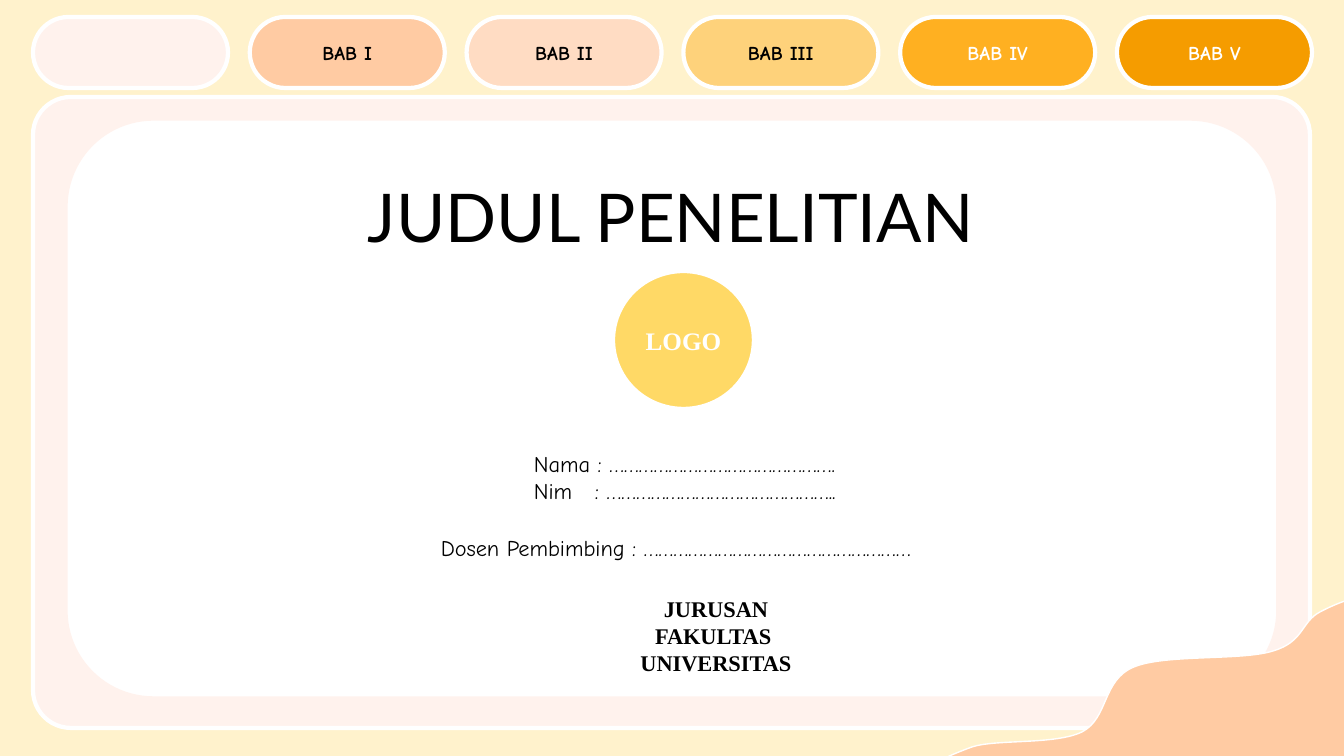
import dataclasses

import lxml.etree
import pptx
import pptx.dml.color
import pptx.enum.shapes
import pptx.enum.text
import pptx.oxml.ns
import pptx.util

EMU_PER_PX = 914400 / 100.8
SHAPES = pptx.enum.shapes.MSO_SHAPE
ALIGN = pptx.enum.text.PP_ALIGN
ANCHOR = pptx.enum.text.MSO_ANCHOR


@dataclasses.dataclass(frozen=True)
class Theme:
    background: str = "FFF2CC"
    panel: str = "FFF2ED"
    peach: str = "FFCBA3"
    pale_peach: str = "FFDCC3"
    sand: str = "FED27B"
    amber: str = "FFB021"
    orange: str = "F59C00"
    logo: str = "FFD966"
    white: str = "FFFFFF"
    black: str = "000000"
    title_font: str = "Lato"
    hand_font: str = "Comic Neue"
    formal_font: str = "Times New Roman"
    title_size: int = 48
    logo_size: int = 18
    body_size: int = 16
    tab_size: int = 14


THEME = Theme()
TABS = [
    ("", THEME.panel, THEME.black),
    ("BAB I", THEME.peach, THEME.black),
    ("BAB II", THEME.pale_peach, THEME.black),
    ("BAB III", THEME.sand, THEME.black),
    ("BAB IV", THEME.amber, THEME.white),
    ("BAB V", THEME.orange, THEME.white),
]
# Start point, then the Bezier segments, in px from the wave's top left corner.
WAVE_START = (546, 10)
WAVE_CURVES = [
    ((517, 5), (486, -1), (461, 1)),
    ((436, 2), (414, 10), (395, 20)),
    ((376, 30), (379, 50), (348, 59)),
    ((317, 69), (240, 62), (209, 75)),
    ((177, 88), (184, 126), (157, 140)),
    ((130, 153), (71, 147), (47, 155)),
    ((22, 164), (-20, 182), (10, 190)),
    ((41, 198), (135, 200), (228, 201)),
    ((319, 202), (513, 226), (565, 195)),
    ((616, 163), (537, 11), (537, 11)),
]


def px(length):
    return pptx.util.Emu(round(length * EMU_PER_PX))


def rgb(colour):
    return pptx.dml.color.RGBColor.from_string(colour)


def set_values(target, values):
    for name, value in values.items():
        setattr(target, name, value)


def move(shape, box):
    names = ("left", "top", "width", "height")
    set_values(shape, dict(zip(names, map(px, box))))


def paint(shape, fill, line, width):
    shape.shadow.inherit = False
    shape.fill.solid()
    shape.fill.fore_color.rgb = rgb(fill)
    shape.line.color.rgb = rgb(line)
    shape.line.width = pptx.util.Pt(width)


def add_painted(slide, kind, box, fill, line, width, rounding=None):
    shape = slide.shapes.add_shape(kind, *map(px, box))
    paint(shape, fill, line, width)
    if rounding is not None:
        shape.adjustments[0] = rounding
    return shape


def write(shape, lines, font, size, colour, bold=False,
          align=ALIGN.CENTER, anchor=ANCHOR.MIDDLE):
    frame = shape.text_frame
    frame.text = "\n".join(lines)
    set_values(frame, {
        "word_wrap": True,
        "auto_size": pptx.enum.text.MSO_AUTO_SIZE.NONE,
        "vertical_anchor": anchor,
    })
    font_format = {"name": font, "size": pptx.util.Pt(size), "bold": bold}
    for paragraph in frame.paragraphs:
        paragraph.alignment = align
        for run in paragraph.runs:
            set_values(run.font, font_format)
            run.font.color.rgb = rgb(colour)


def add_text(slide, box, lines, font, bold=False, align=ALIGN.LEFT):
    shape = slide.shapes.add_textbox(*map(px, box))
    write(shape, lines, font, THEME.body_size, THEME.black, bold,
          align, ANCHOR.TOP)
    return shape


def set_tab_stop(paragraph, position):
    properties = paragraph._p.get_or_add_pPr()
    stops = lxml.etree.SubElement(properties, pptx.oxml.ns.qn("a:tabLst"))
    lxml.etree.SubElement(stops, pptx.oxml.ns.qn("a:tab"),
                          pos=str(px(position)), algn="l")


def add_panels(slide, box):
    """Draw the outer panel and the white card inside it."""
    left, top, width, height = box
    add_painted(slide, SHAPES.ROUNDED_RECTANGLE, box,
                THEME.panel, THEME.white, 3, 0.06)
    card = (left + 34, top + 23, width - 67, height - 54)
    add_painted(slide, SHAPES.ROUNDED_RECTANGLE, card,
                THEME.white, THEME.panel, 1, 0.15)


def add_chapter_tabs(slide, box):
    left, top, width, height = box
    tab_width = 195
    step = (width - tab_width) / (len(TABS) - 1)
    for index, (label, fill, colour) in enumerate(TABS):
        tab = add_painted(slide, SHAPES.ROUNDED_RECTANGLE,
                          (left + index * step, top, tab_width, height),
                          fill, THEME.white, 3, 0.5)
        if label:
            write(tab, [label], THEME.hand_font, THEME.tab_size, colour, True)


def add_cover(slide, box):
    """Place the title, logo disc and author details."""
    left, top, width, height = box
    title = slide.shapes.title
    slide.shapes._spTree.append(title._element)
    move(title, (left, top, width, 92))
    write(title, ["JUDUL PENELITIAN"], THEME.title_font, THEME.title_size,
          THEME.black, anchor=ANCHOR.TOP)

    logo = add_painted(slide, SHAPES.OVAL, (left + 434, top + 100, 143, 140),
                       THEME.logo, THEME.white, 4.5)
    write(logo, ["LOGO"], THEME.formal_font, THEME.logo_size,
          THEME.white, True)

    author = add_text(slide, (left + 346, top + 275, 407, 65),
                      ["Nama : ……………………………………….",
                       "Nim\t: ……………………………………….."], THEME.hand_font)
    set_tab_stop(author.text_frame.paragraphs[1], 61)
    add_text(slide, (left + 253, top + 359, 571, 37),
             ["Dosen Pembimbing : ………………………………………………"],
             THEME.hand_font)
    add_text(slide, (left + 247, top + height - 92, 582, 92),
             ["JURUSAN", "FAKULTAS ", "UNIVERSITAS"],
             THEME.formal_font, True, ALIGN.CENTER)


def add_point(parent, point):
    lxml.etree.SubElement(parent, pptx.oxml.ns.qn("a:pt"),
                          x=str(point[0]), y=str(point[1]))


def add_corner_wave(slide, box):
    """Build the outline, then bend its straight segments into curves."""
    builder = slide.shapes.build_freeform(*WAVE_START, scale=EMU_PER_PX)
    builder.add_line_segments([curve[-1] for curve in WAVE_CURVES])
    wave = builder.convert_to_shape()
    move(wave, box)
    paint(wave, THEME.peach, THEME.white, 1)

    qn = pptx.oxml.ns.qn
    outline = next(wave._element.iter(qn("a:path")))
    outline.set("w", str(box[2]))
    outline.set("h", str(box[3]))
    for segment in list(outline):
        outline.remove(segment)
    add_point(lxml.etree.SubElement(outline, qn("a:moveTo")), WAVE_START)
    for curve in WAVE_CURVES:
        segment = lxml.etree.SubElement(outline, qn("a:cubicBezTo"))
        for point in curve:
            add_point(segment, point)
    lxml.etree.SubElement(outline, qn("a:close"))


def main():
    presentation = pptx.Presentation()
    presentation.slide_width = px(1344)
    presentation.slide_height = px(756)
    slide = presentation.slides.add_slide(presentation.slide_layouts[5])
    slide.background.fill.solid()
    slide.background.fill.fore_color.rgb = rgb(THEME.background)
    add_panels(slide, (33, 97, 1277, 631))
    add_chapter_tabs(slide, (33, 17, 1279, 71))
    add_cover(slide, (178, 170, 986, 512))
    add_corner_wave(slide, (925, 592, 581, 211))
    presentation.save("out.pptx")


if __name__ == "__main__":
    main()
